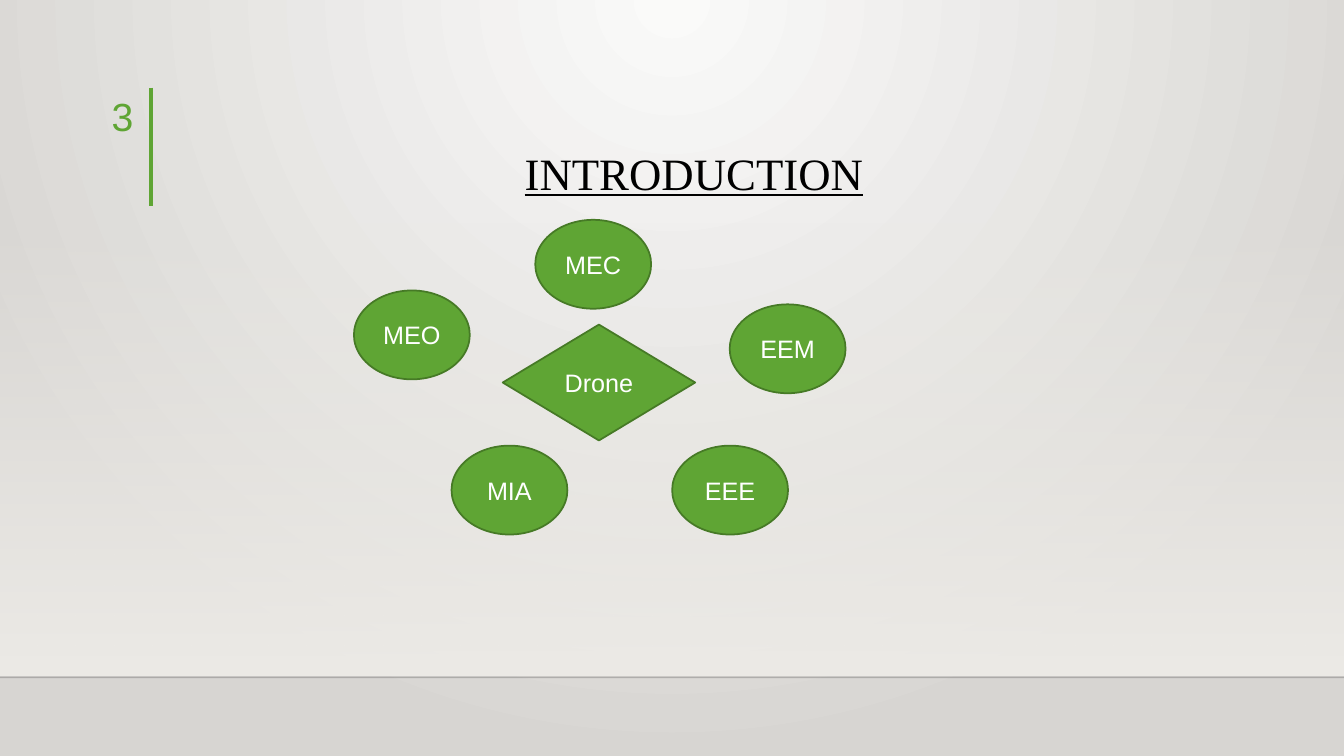
from lxml import etree
from pptx import Presentation
from pptx.dml.color import RGBColor
from pptx.enum.shapes import MSO_CONNECTOR, MSO_SHAPE
from pptx.enum.text import MSO_ANCHOR, PP_ALIGN
from pptx.oxml.ns import qn
from pptx.util import Cm, Pt

STRAIGHT = MSO_CONNECTOR.STRAIGHT
RECTANGLE, OVAL = MSO_SHAPE.RECTANGLE, MSO_SHAPE.OVAL
DECISION = MSO_SHAPE.FLOWCHART_DECISION
TOP, MIDDLE, BOTTOM = MSO_ANCHOR.TOP, MSO_ANCHOR.MIDDLE, MSO_ANCHOR.BOTTOM
CENTER, RIGHT = PP_ALIGN.CENTER, PP_ALIGN.RIGHT

COLORS = {
    "glow": "FAFAF9",
    "edge": "D7D5D2",
    "wall": "EDEBE7",
    "floor_line": "000001",
    "green": "5FA534",
    "dark_green": "467A26",
    "title": "000000",
    "white": "FFFFFF",
}
SLIDE_WIDTH, SLIDE_HEIGHT = 33.87, 19.05
OVAL_SIZE = (2.92, 2.24)
SUBJECTS = {  # left and top of each oval
    "MEO": (8.92, 7.32),
    "MEC": (13.49, 5.54),
    "EEE": (16.94, 11.23),
    "MIA": (11.38, 11.23),
    "EEM": (18.39, 7.67),
}


def color(name):
    return RGBColor.from_string(COLORS[name])


def set_alpha(element, percent):
    """Make the first RGB colour inside the element translucent."""
    rgb = element.find(".//" + qn("a:srgbClr"))
    etree.SubElement(rgb, qn("a:alpha")).set("val", str(percent * 1000))


def set_gradient(fill, start, end):
    fill.gradient()
    for stop, name, position in zip(fill.gradient_stops, (start, end), (0, 1)):
        stop.color.rgb = color(name)
        stop.position = position


def paint_background(slide):
    """Spread a circular glow from the top centre of the slide."""
    set_gradient(slide.background.fill, "glow", "edge")
    gradient = slide.element.find(".//" + qn("a:gradFill"))
    gradient.remove(gradient.find(qn("a:lin")))
    circle = etree.SubElement(gradient, qn("a:path"), {"path": "circle"})
    focus = {"l": "43000", "t": "0", "r": "43000", "b": "100000"}
    etree.SubElement(circle, qn("a:fillToRect"), focus)


def add_wall(slide):
    wall = slide.shapes.add_shape(RECTANGLE, 0, Cm(5.59), Cm(SLIDE_WIDTH), Cm(11.43))
    wall.shadow.inherit = False
    wall.line.fill.background()
    set_gradient(wall.fill, "wall", "wall")
    wall.fill.gradient_angle = 270
    set_alpha(wall.element, 0)


def add_line(slide, start, end, color_name, width):
    line = slide.shapes.add_connector(STRAIGHT, *map(Cm, start + end))
    line.line.color.rgb = color(color_name)
    line.line.width = Pt(width)
    etree.SubElement(line.element.spPr, qn("a:effectLst"))
    return line


def write(shape, text, size, color_name, align, anchor, font_name="Arial"):
    frame = shape.text_frame
    frame.text = text
    frame.vertical_anchor = anchor
    paragraph = frame.paragraphs[0]
    paragraph.alignment = align
    font = paragraph.runs[0].font
    font.name = font_name
    font.size = Pt(size)
    font.color.rgb = color(color_name)
    return paragraph


def add_text(slide, box, *style):
    text_box = slide.shapes.add_textbox(*map(Cm, box))
    text_box.text_frame.word_wrap = True
    return write(text_box, *style)


def add_node(slide, kind, box, label):
    node = slide.shapes.add_shape(kind, *map(Cm, box))
    node.shadow.inherit = False
    node.fill.solid()
    node.fill.fore_color.rgb = color("green")
    node.line.color.rgb = color("dark_green")
    node.line.width = Pt(1.25)
    node.text_frame.word_wrap = False
    write(node, label, 18, "white", CENTER, MIDDLE)


def main():
    presentation = Presentation()
    presentation.slide_width = Cm(SLIDE_WIDTH)
    presentation.slide_height = Cm(SLIDE_HEIGHT)
    slide = presentation.slides.add_slide(presentation.slide_layouts[6])

    paint_background(slide)
    add_wall(slide)
    floor_line = add_line(slide, (0, 17.07), (SLIDE_WIDTH, 17.07), "floor_line", 1)
    set_alpha(floor_line.element, 20)
    add_line(slide, (3.81, 2.21), (3.81, 5.18), "green", 3)

    title = add_text(slide, (4.27, 2.24, 26.44, 2.92), "INTRODUCTION", 32,
                     "title", CENTER, BOTTOM, "Times New Roman")
    title.line_spacing = 0.9
    title.runs[0].font.underline = True
    add_text(slide, (1.35, 2.21, 2.26, 1.4), "3", 28, "green", RIGHT, TOP)

    for label, position in SUBJECTS.items():
        add_node(slide, OVAL, position + OVAL_SIZE, label)
    add_node(slide, DECISION, (12.67, 8.18, 4.85, 2.92), "Drone")

    presentation.save("out.pptx")


if __name__ == "__main__":
    main()
